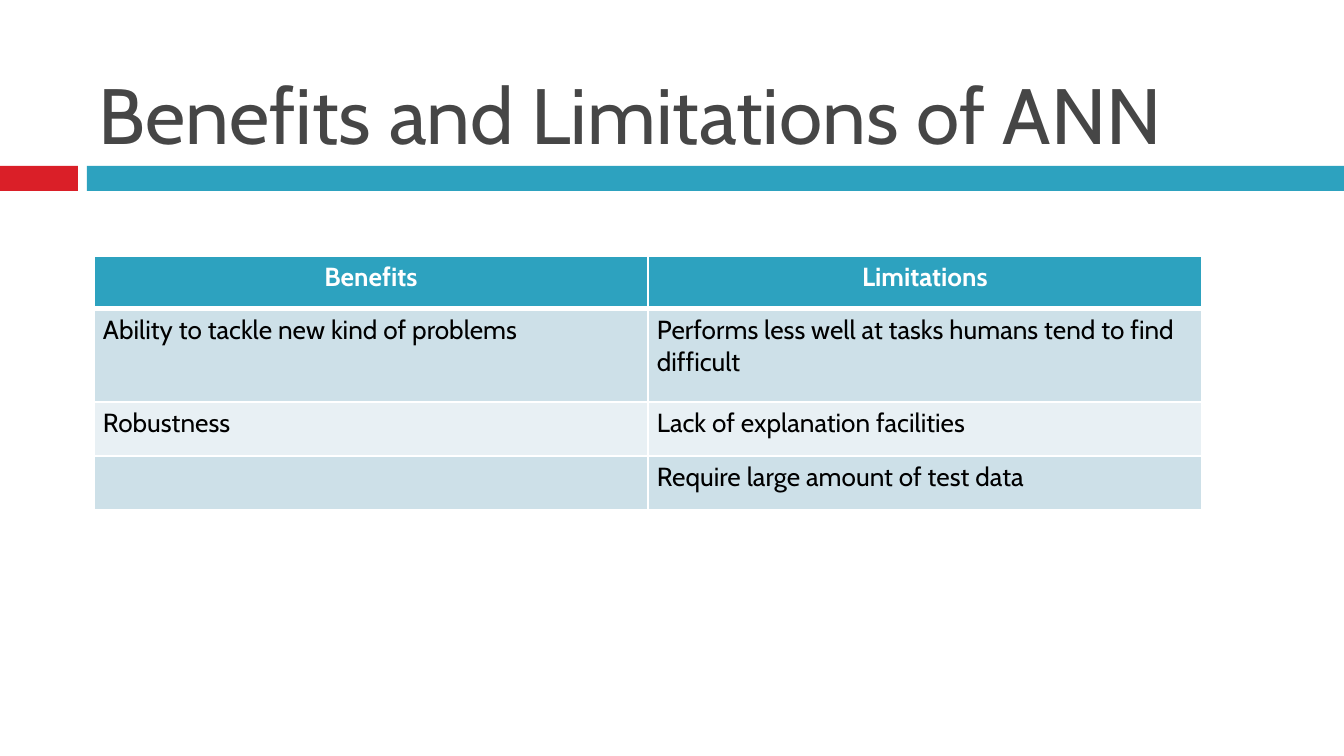
from dataclasses import dataclass

from lxml import etree
from pptx import Presentation
from pptx import util as u
from pptx.dml.color import RGBColor
from pptx.enum import shapes, text
from pptx.oxml.ns import qn

EMU_PER_PX = 914400 / 134.4
FONT = "Cabin"
COLORS = {
    "red": "DA1F28",
    "teal": "2DA2BF",
    "title": "464646",
    "text": "000000",
    "white": "FFFFFF",
    "band_dark": "CDE0E8",
    "band_light": "E8F0F4",
}


@dataclass(frozen=True)
class Box:
    left: int
    top: int
    width: int
    height: int

    def emu(self) -> list[int]:
        return [px(n) for n in (self.left, self.top, self.width, self.height)]


@dataclass(frozen=True)
class Bar:
    box: Box
    color: str


@dataclass(frozen=True)
class Row:
    height: int
    benefit: str
    limitation: str


BARS = [
    Bar(Box(0, 166, 78, 25), "red"),
    Bar(Box(87, 166, 1257, 25), "teal"),
]
TITLE_BOX = Box(90, 17, 1199, 148)
TABLE_BOX = Box(94, 256, 1108, 254)
ROWS = [
    Row(53, "Benefits", "Limitations"),
    Row(93, "Ability to tackle new kind of problems",
        "Performs less well at tasks humans tend to find difficult"),
    Row(54, "Robustness", "Lack of explanation facilities"),
    Row(54, "", "Require large amount of test data"),
]


def px(length: int) -> int:
    return round(length * EMU_PER_PX)


def rgb(color: str) -> RGBColor:
    return RGBColor.from_string(COLORS[color])


def write(frame, content: str, *, size: int, color: str, bold: bool = False,
          align=text.PP_ALIGN.LEFT) -> None:
    paragraph = frame.paragraphs[0]
    paragraph.alignment = align
    run = paragraph.add_run()
    run.text = content
    run.font.name = FONT
    run.font.size = u.Pt(size)
    run.font.bold = bold
    run.font.color.rgb = rgb(color)


def set_insets(holder) -> None:
    """Give a cell or text frame the slide's common margins."""
    holder.margin_left = holder.margin_right = px(9)
    holder.margin_top = holder.margin_bottom = px(5)


def draw_bar(slide, bar: Bar) -> None:
    shape = slide.shapes.add_shape(shapes.MSO_SHAPE.RECTANGLE, *bar.box.emu())
    shape.shadow.inherit = False
    shape.fill.solid()
    shape.fill.fore_color.rgb = rgb(bar.color)
    shape.line.fill.background()


def draw_title(slide, content: str) -> None:
    frame = slide.shapes.add_textbox(*TITLE_BOX.emu()).text_frame
    frame.word_wrap = True
    frame.vertical_anchor = text.MSO_ANCHOR.BOTTOM
    set_insets(frame)
    write(frame, content, size=42, color="title")


def set_borders(cell, widths: dict[str, int]) -> None:
    """Add white borders, given in points, ahead of the cell's fill."""
    properties = cell._tc.get_or_add_tcPr()
    for index, (side, width) in enumerate(widths.items()):
        line = etree.Element(qn(f"a:{side}"), w=str(u.Pt(width)))
        fill = etree.SubElement(line, qn("a:solidFill"))
        etree.SubElement(fill, qn("a:srgbClr"), val=COLORS["white"])
        properties.insert(index, line)


def draw_table(slide, rows: list[Row]) -> None:
    table = slide.shapes.add_table(len(rows), 2, *TABLE_BOX.emu()).table
    for column in table.columns:
        column.width = px(TABLE_BOX.width // 2)
    for index, row in enumerate(rows):
        table.rows[index].height = px(row.height)
        header = index == 0
        band = "teal" if header else ("band_light", "band_dark")[index % 2]
        borders = {"lnL": 1, "lnR": 1, "lnT": 3 if index == 1 else 1,
                   "lnB": 3 if header else 1}
        for column, content in enumerate((row.benefit, row.limitation)):
            cell = table.cell(index, column)
            set_insets(cell)
            cell.fill.solid()
            cell.fill.fore_color.rgb = rgb(band)
            set_borders(cell, borders)
            if content:
                write(cell.text_frame, content, size=14, bold=header,
                      color="white" if header else "text",
                      align=text.PP_ALIGN.CENTER if header else text.PP_ALIGN.LEFT)


def main() -> None:
    presentation = Presentation()
    presentation.slide_width = px(1344)
    presentation.slide_height = px(756)
    slide = presentation.slides.add_slide(presentation.slide_layouts[6])
    for bar in BARS:
        draw_bar(slide, bar)
    draw_title(slide, "Benefits and Limitations of ANN")
    draw_table(slide, ROWS)
    presentation.save("out.pptx")


if __name__ == "__main__":
    main()
